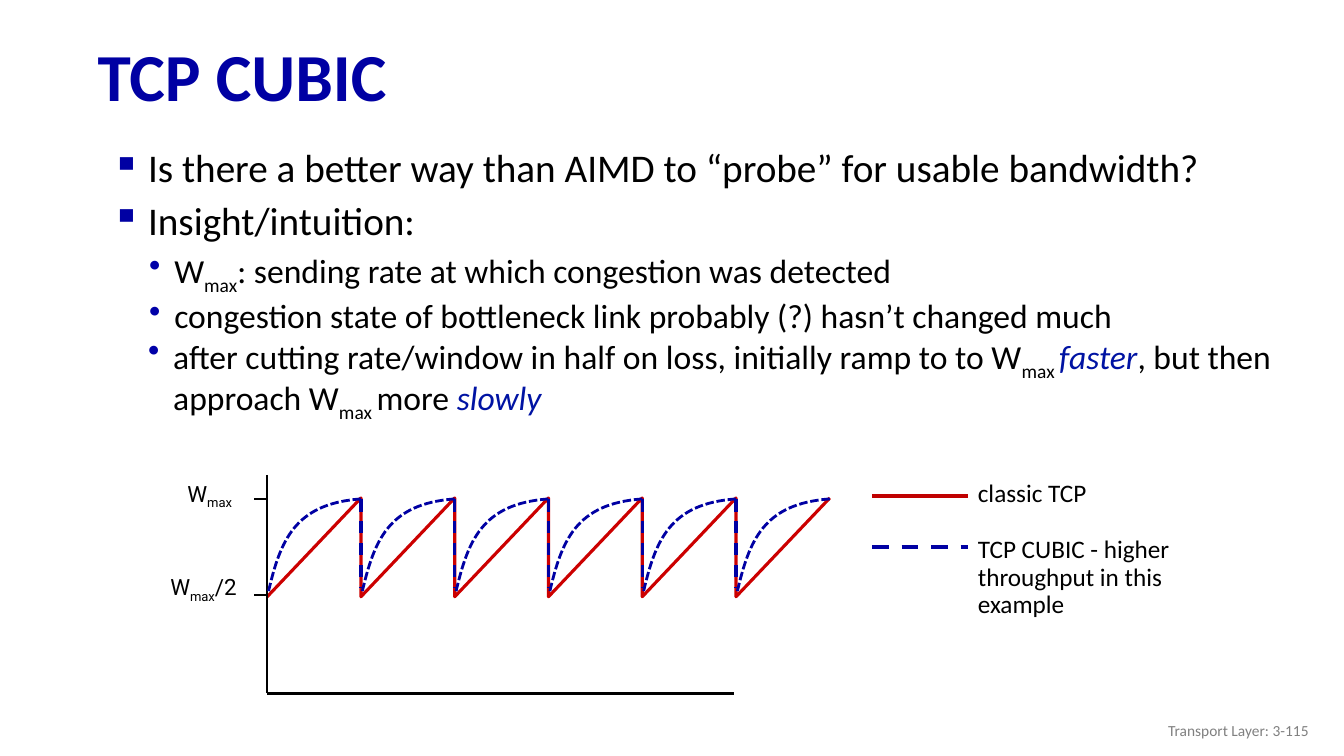
import dataclasses

import lxml.etree
import pptx
import pptx.dml.color
import pptx.enum.dml
import pptx.enum.text
import pptx.oxml.ns
import pptx.util

inch = pptx.util.Inches
qn = pptx.oxml.ns.qn
dashes = pptx.enum.dml.MSO_LINE
anchors = pptx.enum.text.MSO_ANCHOR
aligns = pptx.enum.text.PP_ALIGN
fits = pptx.enum.text.MSO_AUTO_SIZE


@dataclasses.dataclass
class Theme:
    font: str = "Calibri"
    label: str = "Roboto"
    black: str = "000000"
    gray: str = "808080"
    navy: str = "0000A3"
    dot: str = "0000A8"
    blue: str = "0013A3"
    red: str = "CC0000"
    key_red: str = "C00000"
    title: int = 48
    body: int = 28
    point: int = 24
    key: int = 18
    tick: int = 16
    foot: int = 11


def rgb(color):
    return pptx.dml.color.RGBColor.from_string(color)


def write(para, text, size, color, font, bold=False, italic=False, sub=False):
    """Add one run of text with its format."""
    run = para.add_run()
    run.text = text
    run.font.size = pptx.util.Pt(size)
    run.font.name = font
    run.font.bold = bold
    run.font.italic = italic
    run.font.color.rgb = rgb(color)
    if sub:
        run.font._element.set("baseline", "-25000")


class Slide:
    def __init__(self, deck, theme):
        self.theme = theme
        self.shapes = deck.slides.add_slide(deck.slide_layouts[6]).shapes

    def box(self, left, top, width, height, wrap=True, anchor=anchors.TOP):
        """Add an empty text box and return its frame."""
        frame = self.shapes.add_textbox(
            inch(left), inch(top), inch(width), inch(height)).text_frame
        frame.word_wrap = wrap
        frame.auto_size = fits.NONE if wrap else fits.SHAPE_TO_FIT_TEXT
        frame.vertical_anchor = anchor
        return frame

    def para(self, frame, parts, size, color=None, font=None, bold=False,
             bullet=None, before=0, space=None, align=None):
        """Fill the next paragraph; parts is a string or (text, format) pairs."""
        first = not frame.paragraphs[0].runs
        para = frame.paragraphs[0] if first else frame.add_paragraph()
        if bullet:
            self.bullet(para, *bullet)
        para.space_before = pptx.util.Pt(0 if first else before)
        if space:
            para.line_spacing = space
        if align:
            para.alignment = align
        base = dict(size=size, color=color or self.theme.black,
                    font=font or self.theme.font, bold=bold)
        for text, extra in [(parts, {})] if isinstance(parts, str) else parts:
            write(para, text, **{**base, **extra})

    def bullet(self, para, mark, color, margin, indent):
        props = para._p.get_or_add_pPr()
        props.set("marL", str(inch(margin)))
        props.set("indent", str(inch(indent)))
        tint = lxml.etree.SubElement(props, qn("a:buClr"))
        lxml.etree.SubElement(tint, qn("a:srgbClr")).set("val", color)
        lxml.etree.SubElement(props, qn("a:buChar")).set("char", mark)

    def topic(self, frame, text):
        """First-level bullet."""
        self.para(frame, text, self.theme.body, space=0.9, before=10,
                  bullet=("▪", self.theme.navy, 0.5, -0.36))

    def point(self, frame, parts):
        """Second-level bullet."""
        self.para(frame, parts, self.theme.point, space=0.9, before=5,
                  bullet=("•", self.theme.dot, 0.76, -0.25))

    def stroke(self, shape, color, width, dash=None):
        shape.line.color.rgb = rgb(color)
        shape.line.width = pptx.util.Pt(width)
        if dash:
            shape.line.dash_style = dash

    def line(self, x1, y1, x2, y2, color, width, dash=None):
        link = self.shapes.add_connector(
            pptx.enum.shapes.MSO_CONNECTOR.STRAIGHT,
            inch(x1), inch(y1), inch(x2), inch(y2))
        self.stroke(link, color, width, dash)
        lxml.etree.SubElement(link._element.spPr, qn("a:effectLst"))

    def trace(self, points, color, width, dash=None):
        """Open outline through points."""
        start, *rest = [(inch(x), inch(y)) for x, y in points]
        pen = self.shapes.build_freeform(*start)
        pen.add_line_segments(rest, close=False)
        shape = pen.convert_to_shape()
        shape.fill.background()
        shape.shadow.inherit = False
        self.stroke(shape, color, width, dash)
        return shape

    def ramp(self, left, right, top, low, color, width, dash):
        """Curve that climbs fast from lower left and flattens at upper right."""
        shape = self.trace([(right, top), (left, low)], color, width, dash)
        leg = next(shape._element.iter(qn("a:lnTo")))
        curve = lxml.etree.Element(qn("a:cubicBezTo"))
        for x, y in [(0.28, 0.05), (0.13, 0.45), (0, 1)]:
            knot = lxml.etree.SubElement(curve, qn("a:pt"))
            knot.set("x", str(round(x * shape.width)))
            knot.set("y", str(round(y * shape.height)))
        leg.getparent().replace(leg, curve)


def main():
    deck = pptx.Presentation()
    deck.slide_width, deck.slide_height = inch(13.33), inch(7.5)
    look = Theme()
    slide = Slide(deck, look)
    sub = dict(sub=True)
    stress = dict(color=look.blue, italic=True)

    # Title
    frame = slide.box(0.87, 0.3, 12.46, 0.98, anchor=anchors.MIDDLE)
    slide.para(frame, "TCP CUBIC", look.title, look.navy, bold=True, space=0.9)

    # Bullets
    frame = slide.box(0.87, 1.43, 12.21, 0.52)
    slide.topic(frame, "Is there a better way than AIMD to “probe” for usable bandwidth?")
    frame = slide.box(0.87, 1.95, 12.21, 1.34)
    slide.topic(frame, "Insight/intuition:")
    slide.point(frame, [
        ("W", {}), ("max", sub),
        (": sending rate at which congestion was detected", {})])
    slide.point(frame, "congestion state of bottleneck link probably (?) hasn’t changed much")
    frame = slide.box(0.86, 3.29, 12.21, 0.98)
    slide.point(frame, [
        ("after cutting rate/window in half on loss, initially ramp to to W", {}),
        ("max ", sub), ("faster", stress), (", but then approach W", {}),
        ("max ", sub), ("more ", {}), ("slowly", stress)])

    # Sawtooth of classic TCP
    left, step, count = 2.65, 0.93, 6
    teeth = []
    for i in range(count):
        x = left + i * step
        teeth += [(x, 5.92), (x + step, 4.94)]
    slide.trace(teeth, look.red, 2.25)

    # Axes, ticks and tick labels
    slide.line(left, 6.88, 7.28, 6.88, look.black, 1.5)
    slide.line(left, 4.71, left, 6.88, look.black, 1.5)
    for y in (4.95, 5.9):
        slide.line(2.52, y, left, y, look.black, 1.5)
    for x, y, width, tail in [(1.76, 4.71, 0.68, []), (1.59, 5.64, 0.89, [("/2", {})])]:
        frame = slide.box(x, y, width, 0.37, wrap=False)
        slide.para(frame, [("W", {}), ("max", sub)] + tail, look.tick, font=look.label)

    # Curves of TCP CUBIC, with a drop after each but the last
    for i in range(count):
        right = left + (i + 1) * step
        slide.ramp(right - 0.92, right, 4.95, 5.88, look.navy, 2, dashes.SQUARE_DOT)
        if i < count - 1:
            slide.line(right, 4.95, right, 5.83, look.navy, 2.25, dashes.DASH)

    # Legend
    slide.line(8.65, 4.92, 9.6, 4.92, look.key_red, 3)
    slide.line(8.65, 5.43, 9.6, 5.43, look.navy, 3, dashes.DASH)
    frame = slide.box(9.6, 4.69, 1.29, 0.4, wrap=False)
    slide.para(frame, "classic TCP", look.key)
    frame = slide.box(9.6, 5.28, 2.39, 0.92)
    slide.para(frame, "TCP CUBIC - higher throughput in this example", look.key, space=0.9)

    # Footer
    frame = slide.box(10.08, 7.05, 3, 0.4, anchor=anchors.MIDDLE)
    slide.para(frame, "Transport Layer: 3-115", look.foot, look.gray, align=aligns.RIGHT)

    deck.save("out.pptx")


if __name__ == "__main__":
    main()
